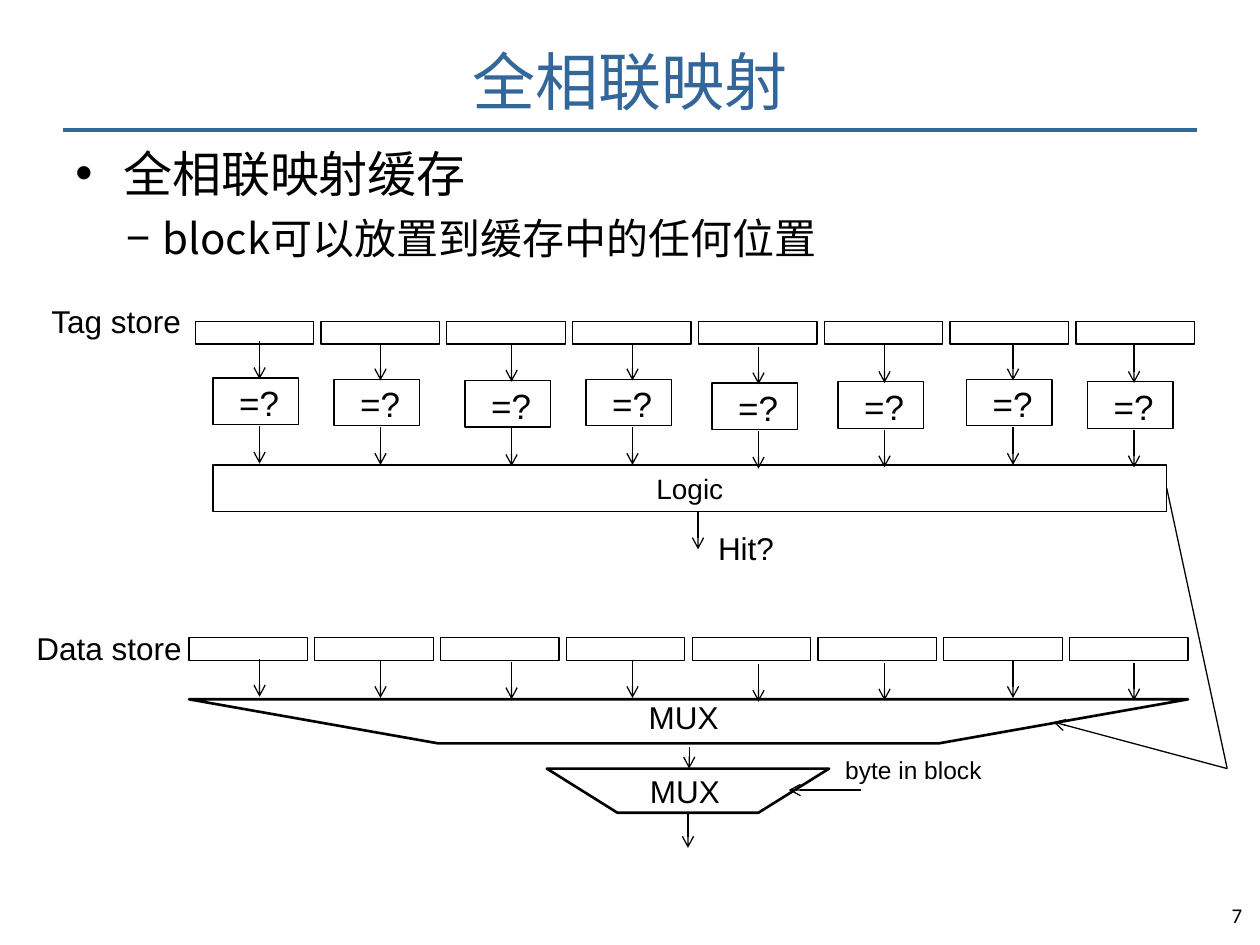
from lxml import etree
from pptx import Presentation, util as u
from pptx.dml.color import RGBColor
from pptx.enum import shapes, text
from pptx.oxml import ns

INK = {"line": "000000", "title": "336699"}
LATIN, HAN = "Arial", "Noto Sans CJK SC"
ALIGN, ANCHOR = text.PP_ALIGN, text.MSO_ANCHOR


def add(parent, tag, **attrs):
    return etree.SubElement(parent, ns.qn(tag), attrs)


class Board:
    def __init__(self, slide):
        self.slide = slide
        self.shapes = slide.shapes

    def stroke(self, shape, width=0.75, color="line"):
        shape.line.color.rgb = RGBColor.from_string(INK[color])
        shape.line.width = u.Pt(width)

    def run(self, para, words, size, font=LATIN, color="line"):
        run = para.add_run()
        run.text = words
        run.font.size = u.Pt(size)
        run.font.color.rgb = RGBColor.from_string(INK[color])
        run.font.name = font
        add(run.font._element, "a:ea", typeface=font)

    def frame(self, x, y, w, h, wrap=True):
        box = self.shapes.add_textbox(*map(u.Inches, (x, y, w, h)))
        box.text_frame.word_wrap = wrap
        return box.text_frame

    def label(self, words, x, y, w, h, size=18, wrap=False):
        frame = self.frame(x, y, w, h, wrap)
        self.run(frame.paragraphs[0], words, size)

    def bullet(self, para, mark, left, hang):
        """Give a paragraph a mark and a hanging indent, in inches."""
        props = para._p.get_or_add_pPr()
        props.set("marL", str(u.Inches(left)))
        props.set("indent", str(-u.Inches(hang)))
        add(props, "a:buFont", typeface=LATIN)
        add(props, "a:buChar", char=mark)

    def rect(self, x, y, w, h):
        box = self.shapes.add_shape(shapes.MSO_SHAPE.RECTANGLE,
                                    *map(u.Inches, (x, y, w, h)))
        box.shadow.inherit = False
        box.fill.background()
        self.stroke(box)
        return box

    def line(self, x1, y1, x2, y2, width=0.75, color="line", head=True):
        line = self.shapes.add_connector(shapes.MSO_CONNECTOR.STRAIGHT,
                                         *map(u.Inches, (x1, y1, x2, y2)))
        self.stroke(line, width, color)
        if head:
            add(line.line._get_or_add_ln(), "a:tailEnd", type="arrow")
        add(line._element.spPr, "a:effectLst")
        return line

    def mux(self, x, y, w, h, slant):
        """Draw a trapezoid whose sides lean inwards by slant."""
        pts = [(x + w, y), (x + w - slant, y + h), (x + slant, y + h), (x, y)]
        pts = [(u.Inches(a), u.Inches(b)) for a, b in pts]
        path = self.shapes.build_freeform(*pts[0])
        path.add_line_segments(pts[1:], close=True)
        shape = path.convert_to_shape()
        shape.shadow.inherit = False
        shape.fill.background()
        self.stroke(shape, 1.5)


def heading(board):
    board.line(0.5, 1.03, 9.5, 1.03, 2, "title", head=False)
    title = board.frame(0.5, 0.13, 9, 1.01)
    title.vertical_anchor = ANCHOR.MIDDLE
    title.paragraphs[0].alignment = ALIGN.CENTER
    board.run(title.paragraphs[0], "全相联映射", 36, HAN, "title")

    body = board.frame(0.5, 1.09, 9, 1.2)
    first, second = body.paragraphs[0], body.add_paragraph()
    board.bullet(first, "•", 0.38, 0.38)
    board.run(first, "全相联映射缓存", 28, HAN)
    second.level = 1
    board.bullet(second, "−", 0.69, 0.29)
    second.space_before = second.space_after = u.Pt(6)
    board.run(second, "block可以放置到缓存中的任何位置", 24, HAN)


def stores(board):
    for name, x, y, w, left, top in (
            ("Tag store", 0.31, 2.35, 1.24, 1.55, 2.55),
            ("Data store", 0.19, 4.94, 1.37, 1.5, 5.06)):
        board.label(name, x, y, w, 0.4)
        for i in range(8):
            board.rect(left + i * 0.9985, top, 0.94, 0.18)


def compare(board):
    """Draw each way's comparator, with arrows into, out of and below it."""
    ways = ((2.06, 0), (3.02, 0.01), (4.06, 0.02), (5.02, 0.01),
            (6.02, 0.04), (7.02, 0.03), (8.04, 0.01), (9, 0.03))
    for x, drop in ways:
        board.rect(x - 0.37, 3 + drop, 0.68, 0.37)
        board.label("=?", x - 0.26, 2.98 + drop, 0.52, 0.44, 20)
        for top in (2.71, 3.38, 5.23):
            board.line(x, top + drop, x, top + drop + 0.3)


def logic(board):
    box = board.rect(1.69, 3.69, 7.57, 0.37)
    box.text_frame.vertical_anchor = ANCHOR.TOP
    para = box.text_frame.paragraphs[0]
    para.alignment = ALIGN.CENTER
    board.run(para, "Logic", 16)
    board.label("Hit?", 5.6, 4.15, 0.65, 0.4)
    board.line(5.54, 4.06, 5.54, 4.36)
    link = board.line(9.26, 3.88, 9.74, 6.1, head=False)
    link.begin_connect(box, 3)
    board.line(9.74, 6.1, 8.36, 5.73)


def select(board):
    board.mux(1.5, 5.55, 7.93, 0.35, 1.98)
    board.label("MUX", 5.05, 5.49, 0.89, 0.4, wrap=True)
    board.line(5.47, 5.93, 5.47, 6.1)
    board.mux(4.34, 6.1, 2.24, 0.35, 0.56)
    board.label("MUX", 5.06, 6.08, 0.87, 0.4, wrap=True)
    board.line(5.46, 6.45, 5.46, 6.73)
    board.label("byte in block", 6.61, 5.94, 1.47, 0.34, 14, True)
    board.line(6.83, 6.27, 6.26, 6.27)


def number(board):
    frame = board.frame(9.5, 7.1, 0.47, 0.23)
    frame.margin_left = frame.margin_right = u.Inches(0.11)
    frame.margin_top = frame.margin_bottom = u.Inches(0.06)
    frame.paragraphs[0].alignment = ALIGN.RIGHT
    board.run(frame.paragraphs[0], "7", 12, "Calibri")


def main():
    deck = Presentation()
    deck.slide_width, deck.slide_height = u.Inches(10), u.Inches(7.5)
    board = Board(deck.slides.add_slide(deck.slide_layouts[6]))
    for draw in (heading, stores, compare, logic, select, number):
        draw(board)
    deck.save("out.pptx")


if __name__ == "__main__":
    main()
